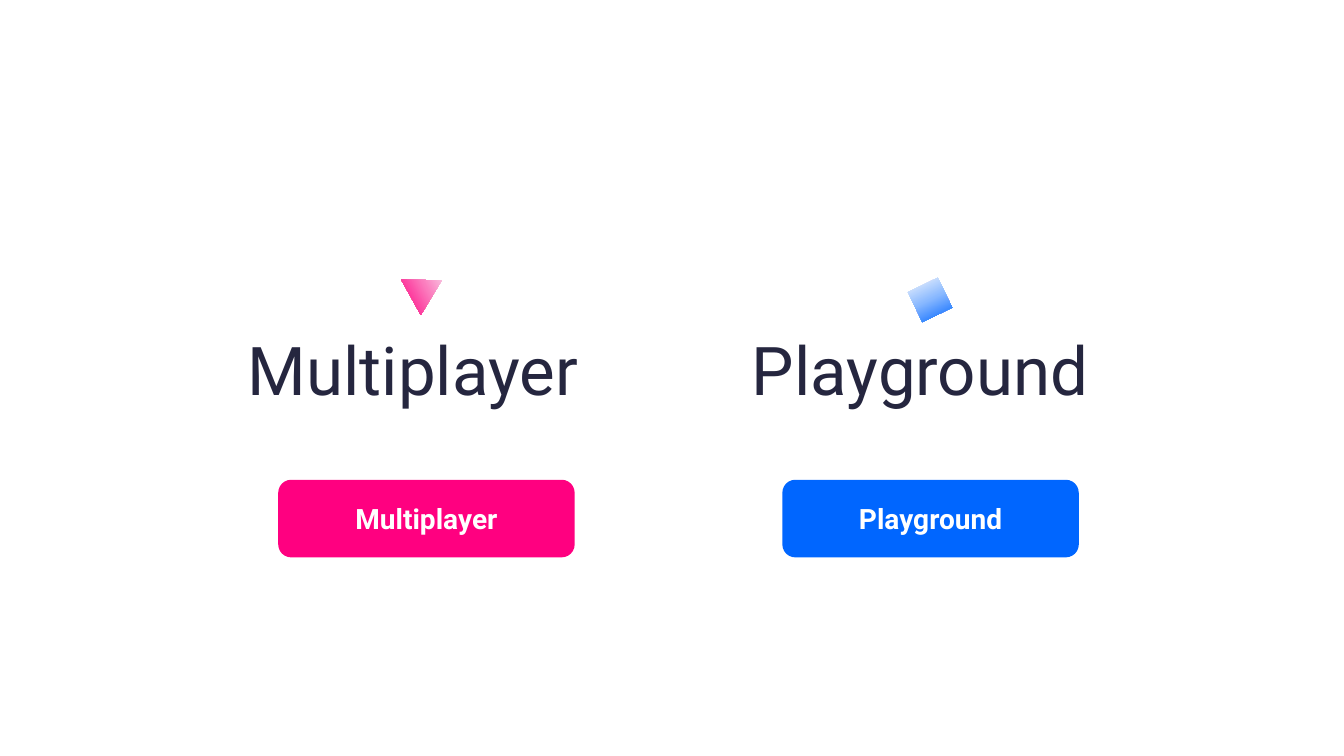
import copy
import dataclasses

import pptx
import pptx.dml.color
import pptx.enum.shapes
import pptx.enum.text
import pptx.oxml.ns
import pptx.util

SLIDE_WIDTH, SLIDE_HEIGHT = 13.33, 7.5
FIRST_COLUMN, COLUMN_STEP = 2.76, 5.0
TITLE_ROW, BUTTON_ROW = 3.2, 4.76
TITLE_OUTDENT, TITLE_HEIGHT = 0.4, 0.91
BUTTON_WIDTH, BUTTON_HEIGHT = 2.94, 0.77
FONT_NAME = "Roboto"
INK, WHITE, GRADIENT_START = "25263F", "FFFFFF", "F6F8FC"
SHAPES = pptx.enum.shapes.MSO_SHAPE


@dataclasses.dataclass(frozen=True)
class Box:
    left: float
    top: float
    width: float
    height: float

    def lengths(self) -> list[pptx.util.Length]:
        return [pptx.util.Inches(value) for value in dataclasses.astuple(self)]


@dataclasses.dataclass(frozen=True)
class Mode:
    name: str
    color: str
    middle_color: str
    title_width: float
    icon: SHAPES
    icon_box: Box
    icon_rotation: float


MODES = [
    Mode("Multiplayer", "FF0080", "FB7CBE", 3.73, SHAPES.ISOSCELES_TRIANGLE,
         Box(1.27, 2.69, 0.4, 0.35), 61),
    Mode("Playground", "0066FF", "89B9FF", 4.13, SHAPES.RECTANGLE,
         Box(1.3, 2.81, 0.33, 0.33), 334.3),
]


def rgb(color: str) -> pptx.dml.color.RGBColor:
    return pptx.dml.color.RGBColor.from_string(color)


def write_text(shape, text: str, *, size: float, color: str, bold: bool = False,
               align=pptx.enum.text.PP_ALIGN.LEFT) -> None:
    frame = shape.text_frame
    frame.word_wrap = True
    frame.vertical_anchor = pptx.enum.text.MSO_ANCHOR.MIDDLE
    paragraph = frame.paragraphs[0]
    paragraph.alignment = align
    run = paragraph.add_run()
    run.text = text
    run.font.name = FONT_NAME
    run.font.size = pptx.util.Pt(size)
    run.font.bold = bold
    run.font.color.rgb = rgb(color)


def add_plain_shape(slide, kind: SHAPES, box: Box):
    shape = slide.shapes.add_shape(kind, *box.lengths())
    shape.shadow.inherit = False
    shape.line.fill.background()
    return shape


def fill_gradient(shape, colors: list[str]) -> None:
    shape.fill.gradient()
    shape.fill.gradient_angle = 270
    stop_list = shape.element.spPr.find(".//" + pptx.oxml.ns.qn("a:gsLst"))
    stop_list.append(copy.deepcopy(stop_list[0]))
    for index, (stop, color) in enumerate(zip(shape.fill.gradient_stops, colors)):
        stop.position = index / (len(colors) - 1)
        stop.color.rgb = rgb(color)


def add_mode(slide, mode: Mode, column: int) -> None:
    left = FIRST_COLUMN + column * COLUMN_STEP

    button = add_plain_shape(slide, SHAPES.ROUNDED_RECTANGLE,
                             Box(left, BUTTON_ROW, BUTTON_WIDTH, BUTTON_HEIGHT))
    button.fill.solid()
    button.fill.fore_color.rgb = rgb(mode.color)
    write_text(button, mode.name, size=20, color=WHITE, bold=True,
               align=pptx.enum.text.PP_ALIGN.CENTER)

    title_box = Box(left - TITLE_OUTDENT, TITLE_ROW, mode.title_width, TITLE_HEIGHT)
    title = slide.shapes.add_textbox(*title_box.lengths())
    title.text_frame.auto_size = pptx.enum.text.MSO_AUTO_SIZE.SHAPE_TO_FIT_TEXT
    write_text(title, mode.name, size=48, color=INK)

    icon_box = dataclasses.replace(mode.icon_box, left=left + mode.icon_box.left)
    icon = add_plain_shape(slide, mode.icon, icon_box)
    icon.rotation = mode.icon_rotation
    fill_gradient(icon, [GRADIENT_START, mode.middle_color, mode.color])


def main() -> None:
    presentation = pptx.Presentation()
    presentation.slide_width = pptx.util.Inches(SLIDE_WIDTH)
    presentation.slide_height = pptx.util.Inches(SLIDE_HEIGHT)
    slide = presentation.slides.add_slide(presentation.slide_layouts[6])
    for column, mode in enumerate(MODES):
        add_mode(slide, mode, column)
    presentation.save("out.pptx")


if __name__ == "__main__":
    main()
